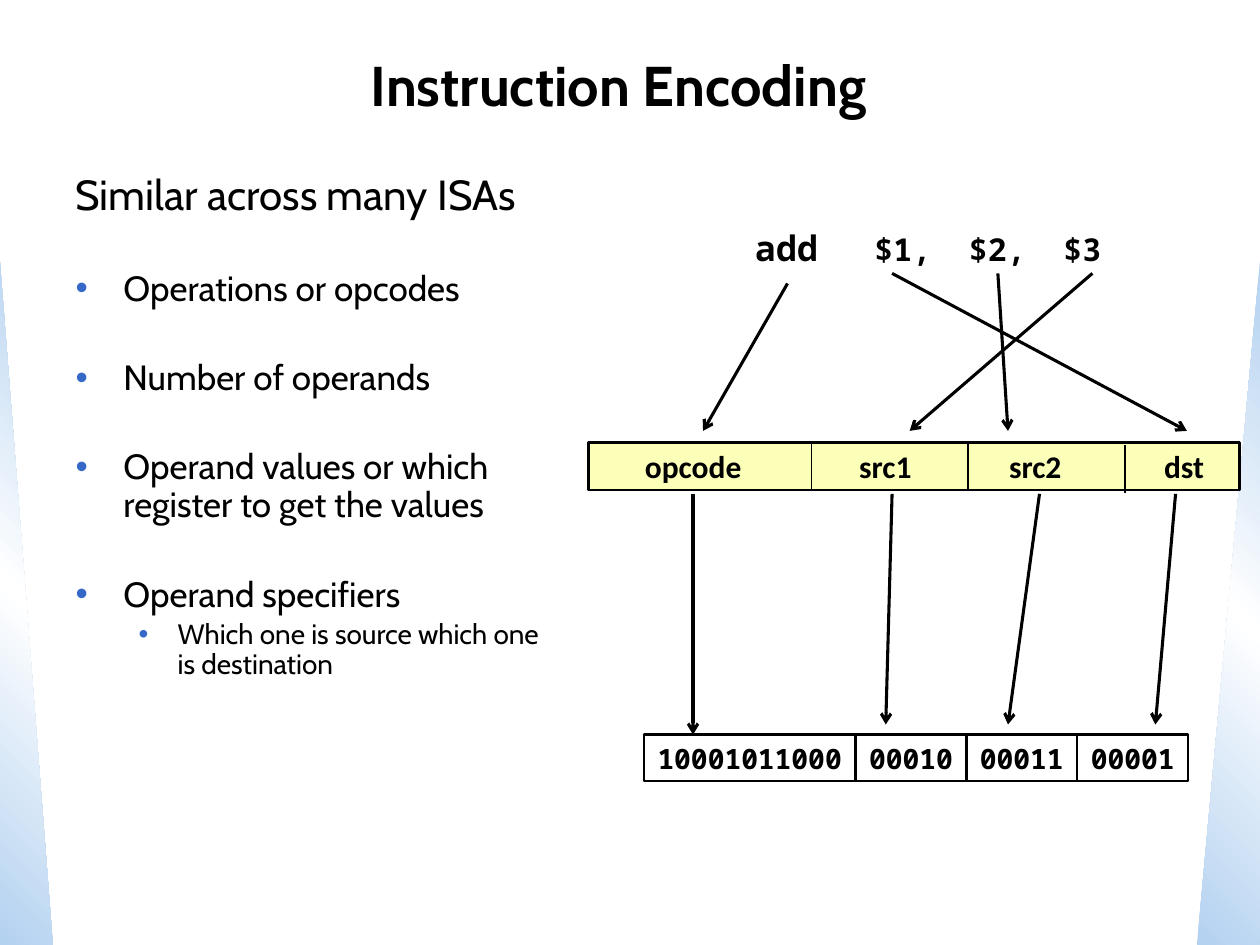
from lxml import etree
from pptx import Presentation
from pptx import util as u
from pptx.dml.color import RGBColor
from pptx.enum import shapes, text
from pptx.oxml import ns

BLACK = RGBColor(0x00, 0x00, 0x00)
FIELD_YELLOW = RGBColor(0xFB, 0xFF, 0xB8)
BULLET_BLUE = RGBColor(0x35, 0x68, 0xC7)
EDGE_BLUE = RGBColor(0xB3, 0xD1, 0xF0)
WHITE = RGBColor(0xFF, 0xFF, 0xFF)


def write(paragraph, content, name, size, bold=True):
    run = paragraph.add_run()
    run.text = content
    run.font.color.rgb = BLACK
    for key, value in {"name": name, "size": u.Pt(size), "bold": bold}.items():
        setattr(run.font, key, value)


def connect(start, end, width, arrow=False):
    line = slide.shapes.add_connector(
        shapes.MSO_CONNECTOR.STRAIGHT, *[u.Inches(value) for value in (*start, *end)])
    line.line.color.rgb = BLACK
    line.line.width = u.Pt(width)
    properties = line._element.spPr
    if arrow:
        etree.SubElement(properties.find(ns.qn("a:ln")), ns.qn("a:tailEnd"), type="arrow")
    etree.SubElement(properties, ns.qn("a:effectLst"))


presentation = Presentation()
presentation.slide_width = u.Inches(10)
presentation.slide_height = u.Inches(7.5)
slide = presentation.slides.add_slide(presentation.slide_layouts[1])

for left, width, angle, flipped in [(0, 0.42, 315, False), (9.5, 0.5, 45, True)]:
    shape = slide.shapes.add_shape(
        shapes.MSO_SHAPE.RIGHT_TRIANGLE,
        u.Inches(left), u.Inches(2.08), u.Inches(width), u.Inches(5.42))
    shape.shadow.inherit = False
    shape.line.fill.background()
    shape.fill.gradient()
    gradient = shape._element.spPr.find(ns.qn("a:gradFill"))
    stops = gradient.find(ns.qn("a:gsLst"))
    for stop in list(stops):
        stops.remove(stop)
    for position, color in [(0, EDGE_BLUE), (50, WHITE), (100, EDGE_BLUE)]:
        stop = etree.SubElement(stops, ns.qn("a:gs"), pos=str(position * 1000))
        etree.SubElement(stop, ns.qn("a:srgbClr"), val=str(color))
    gradient.find(ns.qn("a:lin")).set("ang", str(angle * 60000))
    if flipped:
        shape._element.spPr.find(ns.qn("a:xfrm")).set("flipH", "1")

title = slide.shapes.title
body = slide.placeholders[1]
for placeholder, box, anchor in [
    (title, (0.25, 0.25, 9.42, 0.83), text.MSO_ANCHOR.MIDDLE),
    (body, (0.5, 1.33, 3.92, 5.58), text.MSO_ANCHOR.TOP),
]:
    for key, value in zip(("left", "top", "width", "height"), box):
        setattr(placeholder, key, u.Inches(value))
    frame_format = {"auto_size": text.MSO_AUTO_SIZE.NONE, "word_wrap": True,
                    "vertical_anchor": anchor}
    for key, value in frame_format.items():
        setattr(placeholder.text_frame, key, value)

paragraph = title.text_frame.paragraphs[0]
paragraph.alignment = text.PP_ALIGN.CENTER
write(paragraph, "Instruction Encoding ", "Cabin", 32)

points = [
    ("Similar across many ISAs", 0, 24, 0, False),
    ("Operations or opcodes", 0, 20, 29.5, True),
    ("Number of operands", 0, 20, 29.5, True),
    ("Operand values or which register to get the values", 0, 20, 29.5, True),
    ("Operand specifiers", 0, 20, 29.5, True),
    ("Which one is source which one is destination", 1, 16, 3.2, True),
]
for index, (content, level, size, space, bulleted) in enumerate(points):
    frame = body.text_frame
    paragraph = frame.add_paragraph() if index else frame.paragraphs[0]
    properties = paragraph._p.get_or_add_pPr()
    margin, indent = [(0.38, -0.38), (0.81, -0.31)][level]
    properties.set("marL", str(u.Inches(margin)))
    properties.set("indent", str(u.Inches(indent)))
    if bulleted:
        bullet_color = etree.SubElement(properties, ns.qn("a:buClr"))
        etree.SubElement(bullet_color, ns.qn("a:srgbClr"), val=str(BULLET_BLUE))
        etree.SubElement(properties, ns.qn("a:buFont"), typeface="Arial")
        etree.SubElement(properties, ns.qn("a:buChar"), char="•")
    else:
        etree.SubElement(properties, ns.qn("a:buNone"))
    paragraph_format = {"level": level, "line_spacing": 0.9, "space_before": u.Pt(space),
                        "alignment": text.PP_ALIGN.LEFT}
    for key, value in paragraph_format.items():
        setattr(paragraph, key, value)
    write(paragraph, content, "Cabin", size, False)

instruction = slide.shapes.add_textbox(
    u.Inches(5.39), u.Inches(1.75), u.Inches(3.95), u.Inches(0.44))
instruction.text_frame.word_wrap = True
instruction.text_frame.margin_left = u.Inches(0.6)
paragraph = instruction.text_frame.paragraphs[0]
tabs = etree.SubElement(paragraph._p.get_or_add_pPr(), ns.qn("a:tabLst"))
for index in range(3):
    etree.SubElement(tabs, ns.qn("a:tab"), pos=str(u.Inches(0.95 + 0.75 * index)), algn="l")
write(paragraph, "add", "Noto Sans Mono", 20)
write(paragraph, "\t$1,\t$2,\t$3", "Noto Sans Mono", 18)

field_bar = slide.shapes.add_shape(
    shapes.MSO_SHAPE.RECTANGLE, u.Inches(4.67), u.Inches(3.51), u.Inches(5.17), u.Inches(0.38))
field_bar.shadow.inherit = False
field_bar.fill.solid()
field_bar.fill.fore_color.rgb = FIELD_YELLOW
field_bar.line.color.rgb = BLACK
field_bar.line.width = u.Pt(1.5)

for name, left, width in [("opcode", 5.02, 1.22), ("src1", 6.72, 0.94),
                          ("src2", 7.91, 1.01), ("dst", 9.14, 0.69)]:
    label = slide.shapes.add_textbox(
        u.Inches(left), u.Inches(3.5), u.Inches(width), u.Inches(0.4))
    label.text_frame.word_wrap = True
    write(label.text_frame.paragraphs[0], name, "Calibri", 18)

for x, top in [(6.44, 3.5), (7.68, 3.5), (8.93, 3.53)]:
    connect((x, top), (x, top + 0.38), 1)

left = 5.11
for bits, width in [("10001011000", 1.68), ("00010", 0.88), ("00011", 0.88), ("00001", 0.88)]:
    shape = slide.shapes.add_shape(
        shapes.MSO_SHAPE.RECTANGLE, u.Inches(left), u.Inches(5.83), u.Inches(width), u.Inches(0.37))
    shape.shadow.inherit = False
    shape.fill.background()
    shape.line.color.rgb = BLACK
    shape.line.width = u.Pt(1.25)
    shape.text_frame.word_wrap = False
    write(shape.text_frame.paragraphs[0], bits, "Noto Sans Mono", 16)
    left += width

arrows = [
    ((6.25, 2.25), (5.58, 3.42)), ((7.92, 2.17), (8, 3.42)),
    ((8.67, 2.17), (7.22, 3.42)), ((7.08, 2.17), (9.42, 3.42)),
    ((5.5, 3.92), (5.5, 5.83)), ((7.08, 3.92), (7.03, 5.75)),
    ((8.25, 3.92), (8, 5.75)), ((9.33, 3.92), (9.17, 5.75)),
]
for start, end in arrows:
    connect(start, end, 1.75, arrow=True)

presentation.save("out.pptx")
